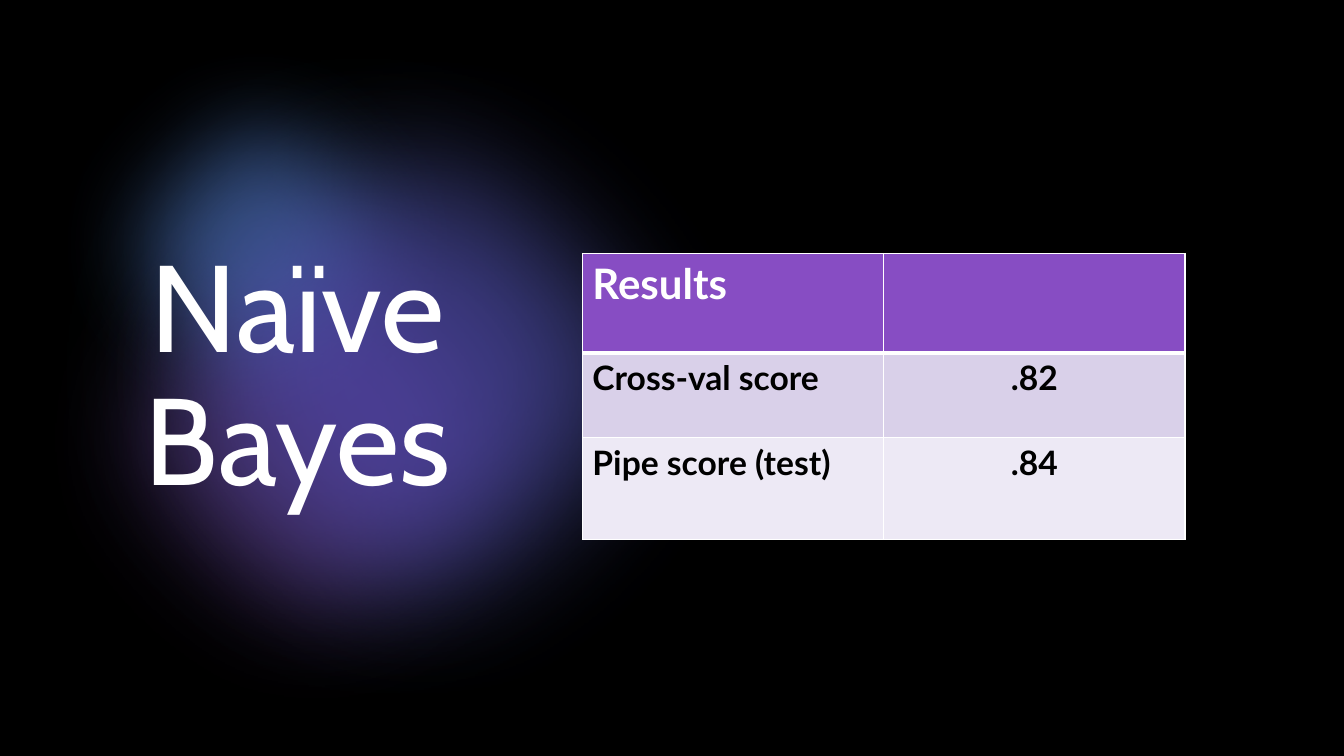
from lxml.etree import SubElement
from pptx import Presentation
from pptx.dml.color import RGBColor
from pptx.enum.shapes import MSO_SHAPE
from pptx.enum.text import MSO_ANCHOR, PP_ALIGN
from pptx.oxml.ns import qn
from pptx.util import Pt

WHITE, BLACK = "FFFFFF", "000000"
PURPLE, BLUE, INDIGO, TEAL = "874DC3", "4D75C3", "524AB7", "1B2F2E"
LILAC, PALE = "D9D0E9", "EDE9F5"


def rgb(color):
    return RGBColor.from_string(color)


def fill_shape(sp, color):
    sp.fill.solid()
    sp.fill.fore_color.rgb = rgb(color)
    sp.line.fill.background()
    sp.shadow.inherit = False


def format_text(p, size, font, color, bold=False):
    for r in p.runs:
        r.font.size = Pt(size)
        r.font.name = font
        r.font.bold = bold
        r.font.color.rgb = rgb(color)


def soften(sp, color, opacity, radius):
    fill_shape(sp, color)
    clr = sp._element.spPr.find(qn("a:solidFill"))[0]
    SubElement(clr, qn("a:alpha"), val=str(opacity * 1000))
    effects = sp._element.spPr.find(qn("a:effectLst"))
    SubElement(effects, qn("a:softEdge"), rad=str(Pt(radius)))


def add_curved_outline(shapes, x, y, start, segments):
    points = [(x + px, y + py) for segment in segments for px, py in segment]
    fb = shapes.build_freeform(x + start[0], y + start[1], scale=Pt(1))
    fb.add_line_segments(points, close=True)
    sp = fb.convert_to_shape()
    path = next(sp._element.iter(qn("a:path")))
    lines = iter(path.findall(qn("a:lnTo")))
    for segment in segments:
        first, *rest = [next(lines) for _ in segment]
        if rest:
            curve = path.makeelement(qn("a:cubicBezTo"))
            path.replace(first, curve)
            curve.append(first[0])
            for line in rest:
                curve.append(line[0])
                path.remove(line)
    return sp


def add_glow(s, x, y):
    shapes = s.shapes.add_group_shape().shapes
    segments = [
        [(451.4, 0), (572.4, 121), (572.4, 270)],
        [(572.4, 419), (451.4, 540), (302.4, 540)],
        [(293, 540), (283.7, 539.3), (275, 538.6)],
        [(262, 537.1)],
        [(249.8, 538.6)],
        [(242.6, 539.3), (234.7, 540), (226.8, 540)],
        [(101.5, 540), (0, 438.5), (0, 313.2)],
        [(0, 282.2), (6.5, 252), (18, 224.6)],
        [(20.2, 219.6)],
        [(18, 209.5)],
        [(15.1, 198.7), (14.4, 187.2), (14.4, 175)],
        [(14.4, 81.4), (90.7, 5), (184.3, 5)],
        [(197.3, 5), (210.2, 6.5), (222.5, 9.4)],
        [(227.5, 10.8)],
        [(234.7, 8.6)],
        [(256.3, 2.9), (279.4, 0), (302.4, 0)],
    ]
    halo = add_curved_outline(shapes, x, y, (302.4, 0), segments)
    soften(halo, TEAL, 60, 100)
    for dx, dy, size, color, opacity, radius in [
        (0, 86.4, 453.6, PURPLE, 40, 85),
        (14.4, 5, 340, BLUE, 60, 70),
        (32.4, 0, 540, INDIGO, 60, 100),
    ]:
        sp = shapes.add_shape(MSO_SHAPE.OVAL, Pt(x + dx), Pt(y + dy), Pt(size), Pt(size))
        soften(sp, color, opacity, radius)


def add_backdrop(s, w, h):
    fill_shape(s.shapes.add_shape(MSO_SHAPE.RECTANGLE, 0, 0, Pt(w), Pt(h)), BLACK)


def add_title(s, x, y, w, h):
    sp = s.shapes.title
    s.shapes._spTree.append(sp._element)
    sp.left, sp.top, sp.width, sp.height = Pt(x), Pt(y), Pt(w), Pt(h)
    tf = sp.text_frame
    tf.text = "Naïve Bayes"
    tf.word_wrap = True
    tf.vertical_anchor = MSO_ANCHOR.MIDDLE
    p = tf.paragraphs[0]
    p.alignment = PP_ALIGN.CENTER
    p.line_spacing = 0.9
    format_text(p, 88, "Cabin", WHITE)


def add_borders(cell, **widths):
    tcPr = cell._tc.get_or_add_tcPr()
    for i, side in enumerate("LRTB"):
        ln = tcPr.makeelement(qn(f"a:ln{side}"), {"w": str(Pt(widths.get(side, 1)))})
        fill = SubElement(ln, qn("a:solidFill"))
        SubElement(fill, qn("a:srgbClr"), val=WHITE)
        tcPr.insert(i, ln)


def add_results(s, x, y, w):
    rows = [
        (71, PURPLE, 30, WHITE, ("Results", "")),
        (60.5, LILAC, 24, BLACK, ("Cross-val score", ".82")),
        (73, PALE, 24, BLACK, ("Pipe score (test)", ".84")),
    ]
    height = sum(row[0] for row in rows)
    table = s.shapes.add_table(len(rows), 2, Pt(x), Pt(y), Pt(w), Pt(height)).table
    for col in table.columns:
        col.width = Pt(w / 2)
    for i, (h, fill, size, color, texts) in enumerate(rows):
        table.rows[i].height = Pt(h)
        for j, text in enumerate(texts):
            cell = table.cell(i, j)
            cell.fill.solid()
            cell.fill.fore_color.rgb = rgb(fill)
            cell.text_frame.text = text
            p = cell.text_frame.paragraphs[0]
            p.alignment = PP_ALIGN.CENTER if j else PP_ALIGN.LEFT
            format_text(p, size, "Lato", color, bold=True)
            add_borders(cell, T=3 if i == 1 else 1, B=3 if i == 0 else 1)


def main():
    prs = Presentation()
    prs.slide_width, prs.slide_height = Pt(960), Pt(540)
    s = prs.slides.add_slide(prs.slide_layouts[5])
    s.background.fill.solid()
    s.background.fill.fore_color.rgb = rgb(BLACK)
    add_backdrop(s, 960, 540)
    add_glow(s, 0, 0)
    add_title(s, 42.5, 65.5, 340, 410)
    add_results(s, 416, 181, 430.5)
    prs.save("out.pptx")


if __name__ == "__main__":
    main()
